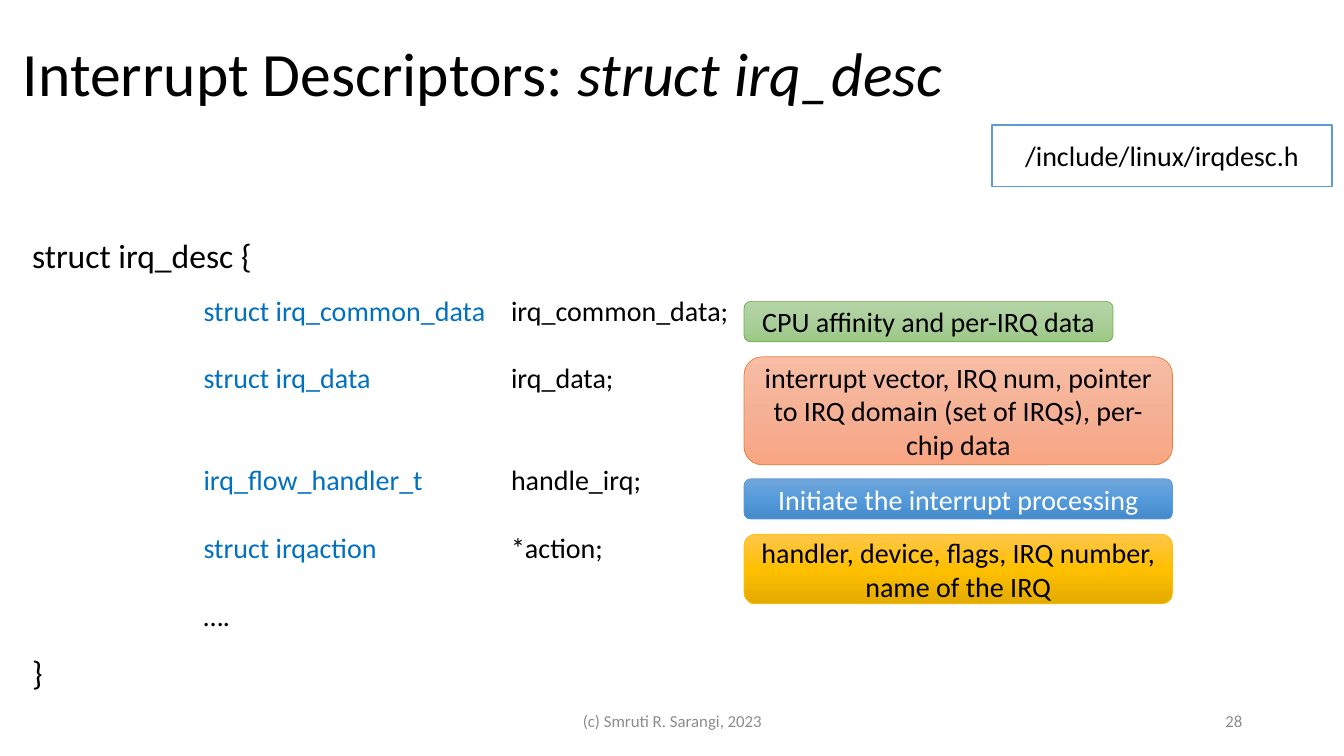
"""Build the slide on the irq_desc interrupt descriptor structure."""
from copy import deepcopy

from lxml.etree import SubElement
from pptx import Presentation
from pptx.dml.color import RGBColor
from pptx.enum.shapes import MSO_SHAPE
from pptx.enum.text import MSO_ANCHOR, PP_ALIGN
from pptx.oxml.ns import qn
from pptx.util import Pt

PX = 9144
FONT = "Calibri"
LINE_HEIGHT = 24.4
COLORS = {
    "black": "000000", "white": "FFFFFF", "gray": "8C8C8C",
    "type": "0070C0", "blue": "5B9BD5", "green": "70AD47",
    "orange": "ED7D31", "gold": "FFC000",
}
GRADIENTS = {
    "green": ("B5D5A7", "AACE9A", "9CC987"),
    "orange": ("F7BDA5", "F5B196", "F8A582"),
    "blue": ("71A6DB", "559BDB", "448ACA"),
    "gold": ("FFC64B", "FFC000", "E3AB00"),
}


def set_font(paragraph, size, color="black"):
    paragraph.font.name = FONT
    paragraph.font.size = Pt(size)
    paragraph.font.color.rgb = RGBColor.from_string(COLORS[color])


def write(shape, text, size, color="black", align=PP_ALIGN.LEFT, anchor=MSO_ANCHOR.MIDDLE):
    frame = shape.text_frame
    frame.word_wrap = True
    frame.vertical_anchor = anchor
    paragraph = frame.paragraphs[0]
    paragraph.text = text
    paragraph.alignment = align
    set_font(paragraph, size, color)
    return paragraph


presentation = Presentation()
presentation.slide_width = 1333 * PX
presentation.slide_height = 750 * PX
slide = presentation.slides.add_slide(presentation.slide_layouts[6])
shapes = slide.shapes

title = shapes.add_textbox(13 * PX, 3 * PX, 1150 * PX, 145 * PX)
paragraph = write(title, "Interrupt Descriptors: ", 44)
paragraph.line_spacing = 0.9
struct_name = paragraph.add_run()
struct_name.text = "struct irq_desc"
struct_name.font.italic = True

for left, width, text, align in (
    (442, 450, "(c) Smruti R. Sarangi, 2023", PP_ALIGN.CENTER),
    (942, 300, "28", PP_ALIGN.RIGHT),
):
    footer = shapes.add_textbox(left * PX, 695 * PX, width * PX, 40 * PX)
    write(footer, text, 12, "gray", align)

header_file = shapes.add_shape(MSO_SHAPE.RECTANGLE, 984 * PX, 124 * PX, 337 * PX, 61 * PX)
header_file.shadow.inherit = False
header_file.fill.solid()
header_file.fill.fore_color.rgb = RGBColor.from_string(COLORS["white"])
header_file.line.color.rgb = RGBColor.from_string(COLORS["blue"])
header_file.line.width = Pt(1)
write(header_file, "/include/linux/irqdesc.h", 20, align=PP_ALIGN.CENTER)

for top, text in ((228, "struct irq_desc {"), (642, "}")):
    brace_line = shapes.add_textbox(22 * PX, top * PX, 260 * PX, 50 * PX)
    write(brace_line, text, 24, anchor=MSO_ANCHOR.TOP)

fields = (
    ("struct irq_common_data", "irq_common_data;", 0),
    ("struct irq_data", "irq_data;", 1),
    ("irq_flow_handler_t", "handle_irq;", 2),
    ("struct irqaction", "*action;", 1),
    ("", "….", 1),
)
field_frame = shapes.add_textbox(192 * PX, 286 * PX, 545 * PX, 347 * PX).text_frame
field_frame.word_wrap = True
for index, (type_name, member, lines_before) in enumerate(fields):
    paragraph = field_frame.add_paragraph() if index else field_frame.paragraphs[0]
    if type_name:
        tab_list = SubElement(paragraph._p.get_or_add_pPr(), qn("a:tabLst"))
        SubElement(tab_list, qn("a:tab"), pos=str(305 * PX), algn="l")
        type_run = paragraph.add_run()
        type_run.text = type_name + "\t"
        type_run.font.color.rgb = RGBColor.from_string(COLORS["type"])
    paragraph.add_run().text = member
    if lines_before:
        paragraph.space_before = Pt(lines_before * LINE_HEIGHT)
    set_font(paragraph, 20)

notes = (
    (299, 366, 40, "green", "black", "CPU affinity and per-IRQ data"),
    (354, 425, 107, "orange", "black",
     "interrupt vector, IRQ num, pointer to IRQ domain (set of IRQs), per-chip data"),
    (475, 425, 40, "blue", "white", "Initiate the interrupt processing"),
    (530, 425, 69, "gold", "black", "handler, device, flags, IRQ number, name of the IRQ"),
)
for top, width, height, theme, text_color, text in notes:
    note = shapes.add_shape(
        MSO_SHAPE.ROUNDED_RECTANGLE, 738 * PX, top * PX, width * PX, height * PX)
    note.shadow.inherit = False
    note.fill.gradient()
    note.fill.gradient_angle = 270
    stop_list = note._element.spPr.find(qn("a:gradFill")).find(qn("a:gsLst"))
    stop_list.insert(1, deepcopy(stop_list[0]))
    for stop, color, position in zip(note.fill.gradient_stops, GRADIENTS[theme], (0, 0.5, 1)):
        stop.color.rgb = RGBColor.from_string(color)
        stop.position = position
    note.line.color.rgb = RGBColor.from_string(COLORS[theme])
    note.line.width = Pt(0.5)
    write(note, text, 20, text_color, PP_ALIGN.CENTER)

presentation.save("out.pptx")
